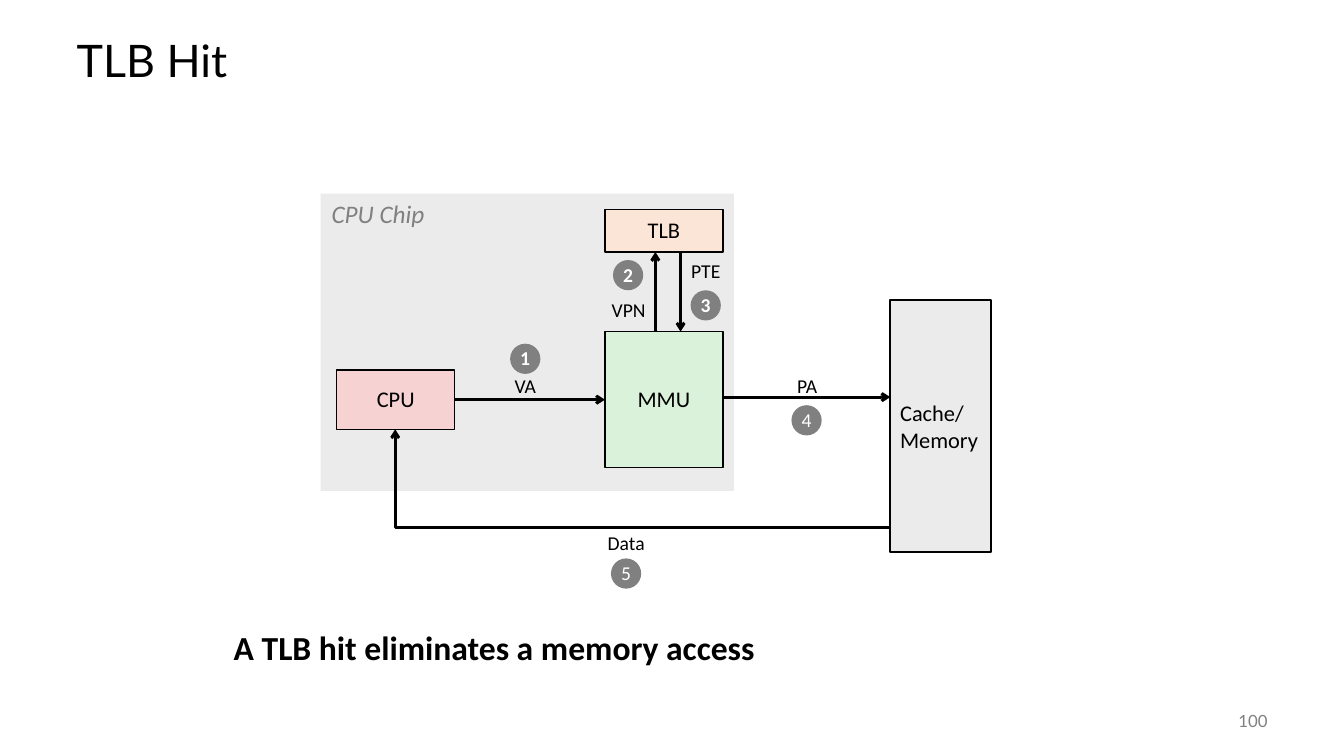
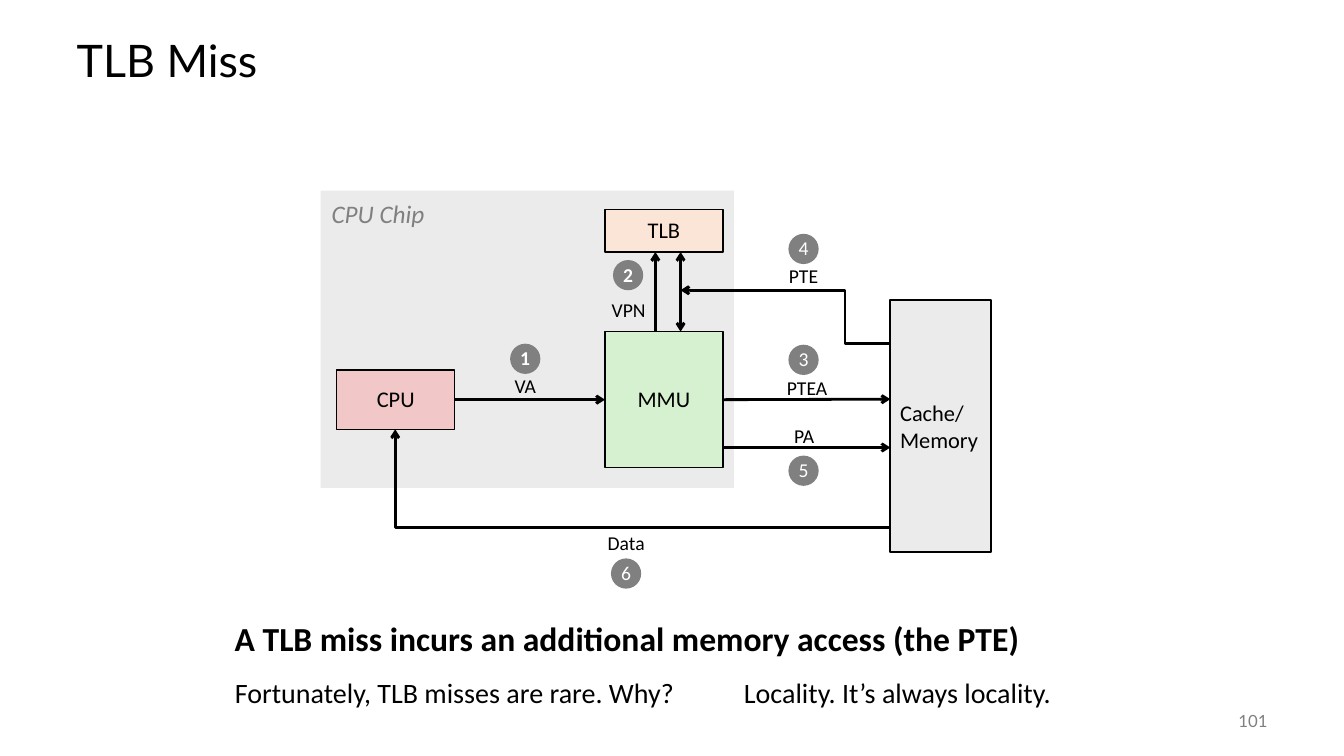
from lxml import etree
from pptx import Presentation
from pptx.dml.color import RGBColor
from pptx.enum.shapes import MSO_CONNECTOR, MSO_SHAPE
from pptx.enum.text import MSO_ANCHOR, MSO_AUTO_SIZE, PP_ALIGN
from pptx.oxml.ns import qn
from pptx.util import Emu, Pt

PX = 9144  # 100 px to the inch
COLORS = {
    "ink": "000000",
    "paper": "FFFFFF",
    "gray": "808080",
    "panel": "EBEBEB",
    "tlb": "FBE5D6",
    "cpu_hit": "F6D2D2",
    "mmu_hit": "DBF2DA",
    "cpu_miss": "F1C7C7",
    "mmu_miss": "D5F1CF",
}
BODY_FONT, TITLE_FONT = "Calibri", "Lato"
CHIP_RIGHT, MEMORY_LEFT = 717, 883  # ends of the MMU-to-memory arrows
TLB_BOTTOM, MMU_TOP = 250, 329
STEP_SIZE = 30


def px(*lengths):
    return [Emu(length * PX) for length in lengths]


def color(name):
    return RGBColor.from_string(COLORS[name])


def write(frame, lines, size, ink="ink", font=BODY_FONT, align=PP_ALIGN.LEFT,
          anchor=MSO_ANCHOR.MIDDLE, wrap=False, spacing=None, bold=False, italic=False):
    frame.word_wrap = wrap
    frame.vertical_anchor = anchor
    frame.text = lines
    for paragraph in frame.paragraphs:
        paragraph.alignment = align
        paragraph.line_spacing = spacing
        paragraph.font.name = font
        paragraph.font.size = Pt(size)
        paragraph.font.bold = bold
        paragraph.font.italic = italic
        paragraph.font.color.rgb = color(ink)


def add_text(slide, text, box, size, **style):
    frame = slide.shapes.add_textbox(*px(*box)).text_frame
    write(frame, text, size, **style)
    if not frame.word_wrap:
        frame.auto_size = MSO_AUTO_SIZE.SHAPE_TO_FIT_TEXT


def add_label(slide, text, left, top, width):
    add_text(slide, text, (left, top, width, 33), 14, align=PP_ALIGN.CENTER, spacing=0.98)


def add_block(slide, box, fill, text="", preset=MSO_SHAPE.RECTANGLE, border=1, size=16,
              align=PP_ALIGN.CENTER, spacing=0.98, **style):
    block = slide.shapes.add_shape(preset, *px(*box))
    block.shadow.inherit = False
    block.fill.solid()
    block.fill.fore_color.rgb = color(fill)
    if border:
        block.line.color.rgb = color("ink")
        block.line.width = Pt(border)
    else:
        block.line.fill.background()
    if text:
        write(block.text_frame, text, size, align=align, spacing=spacing, **style)
    return block


def add_step(slide, number, left, top, bold=False):
    add_block(slide, (left, top, STEP_SIZE, STEP_SIZE), "gray", str(number),
              MSO_SHAPE.OVAL, border=0, size=14, ink="paper", bold=bold)


def add_arrow(slide, start, end, kind=MSO_CONNECTOR.STRAIGHT, double=False):
    arrow = slide.shapes.add_connector(kind, *px(*start, *end))
    arrow.line.color.rgb = color("ink")
    arrow.line.width = Pt(2)
    outline = arrow.line._get_or_add_ln()
    for tip in ("a:headEnd", "a:tailEnd") if double else ("a:tailEnd",):
        etree.SubElement(outline, qn(tip), type="arrow")
    etree.SubElement(arrow._element.spPr, qn("a:effectLst"))
    return arrow


def add_elbow(slide, start, end, preset, bend=None):
    elbow = add_arrow(slide, start, end, MSO_CONNECTOR.ELBOW)
    geometry = elbow._element.spPr.find(qn("a:prstGeom"))
    geometry.set("prst", preset)
    if bend is not None:
        guides = geometry.find(qn("a:avLst"))
        if guides is None:
            guides = etree.SubElement(geometry, qn("a:avLst"))
        etree.SubElement(guides, qn("a:gd"), name="adj1", fmla=f"val {bend}")


def add_diagram(prs, title, page, outcome, chip_top, last_step):
    """Slide with everything that a hit and a miss have in common."""
    slide = prs.slides.add_slide(prs.slide_layouts[5])

    # Title and page number
    heading = slide.shapes.title
    heading.left, heading.top, heading.width, heading.height = px(66, 25, 1200, 75)
    write(heading.text_frame, title, 32, font=TITLE_FONT, wrap=True, spacing=0.9)
    add_text(slide, str(page), (1167, 695, 100, 40), 12, ink="gray", font=TITLE_FONT,
             align=PP_ALIGN.RIGHT, wrap=True)

    # Chip, its units and the memory
    add_block(slide, (318, chip_top, 410, 295), "panel", border=0)
    add_text(slide, "CPU Chip", (319, 192, 116, 40), 18, ink="gray",
             anchor=MSO_ANCHOR.TOP, italic=True)
    cpu = add_block(slide, (334, 367, 117, 59), f"cpu_{outcome}", "CPU")
    mmu = add_block(slide, (600, MMU_TOP, 117, 135), f"mmu_{outcome}", "MMU")
    add_block(slide, (600, 208, 117, 42), "tlb", "TLB")
    add_block(slide, (MEMORY_LEFT, 298, 100, 250), "panel", "Cache/\nMemory", border=1.5,
              align=PP_ALIGN.LEFT, spacing=None)

    # Address to the MMU, page number to the TLB, data back to the CPU
    request = add_arrow(slide, (451, 396), (600, 396))
    request.begin_connect(cpu, 3)
    request.end_connect(mmu, 1)
    add_arrow(slide, (650, MMU_TOP), (650, TLB_BOTTOM))
    add_arrow(slide, (675, TLB_BOTTOM), (675, MMU_TOP), double=outcome == "miss")
    add_elbow(slide, (MEMORY_LEFT, 523), (392, 426), "bentConnector2")
    add_label(slide, "VA", 500, 367, 42)
    add_label(slide, "VPN", 596, 292, 55)
    add_label(slide, "Data", 592, 523, 58)
    add_step(slide, 1, 506, 341, bold=True)
    add_step(slide, 2, 608, 258, bold=True)
    add_step(slide, last_step, 606, 554)
    return slide, mmu


def add_hit_slide(prs):
    slide, _ = add_diagram(prs, "TLB Hit", 100, "hit", chip_top=192, last_step=5)
    add_label(slide, "PTE", 675, 253, 50)
    add_step(slide, 3, 685, 288, bold=True)
    add_arrow(slide, (CHIP_RIGHT, 394), (MEMORY_LEFT, 394))
    add_label(slide, "PA", 780, 367, 41)
    add_step(slide, 4, 785, 402)
    add_text(slide, "A TLB hit eliminates a memory access", (222, 617, 786, 63), 24,
             anchor=MSO_ANCHOR.TOP, wrap=True, bold=True)


def add_miss_slide(prs):
    slide, mmu = add_diagram(prs, "TLB Miss", 101, "miss", chip_top=189, last_step=6)

    # Page table entry fetched from memory, then the access itself
    fetch = add_arrow(slide, (CHIP_RIGHT, 396), (MEMORY_LEFT, 396))
    fetch.begin_connect(mmu, 3)
    add_elbow(slide, (MEMORY_LEFT, 341), (675, 288), "bentConnector3", bend=21600)
    add_arrow(slide, (CHIP_RIGHT, 444), (MEMORY_LEFT, 444))
    for text, left, top, width in (("PTEA", 770, 369, 61), ("PTE", 772, 258, 50),
                                   ("PA", 777, 417, 41)):
        add_label(slide, text, left, top, width)
    for number, top in ((3, 342), (4, 232), (5, 452)):
        add_step(slide, number, 782, top)

    # Conclusions
    add_text(slide, "A TLB miss incurs an additional memory access (the PTE)",
             (223, 608, 843, 100), 24, anchor=MSO_ANCHOR.TOP, wrap=True, bold=True)
    for text, left, width in (("Fortunately, TLB misses are rare. Why?", 223, 465),
                              ("Locality. It’s always locality.", 728, 328)):
        add_text(slide, text, (left, 665, width, 44), 20, anchor=MSO_ANCHOR.TOP)


def main():
    prs = Presentation()
    prs.slide_width, prs.slide_height = px(1333, 750)
    add_hit_slide(prs)
    add_miss_slide(prs)
    prs.save("out.pptx")


if __name__ == "__main__":
    main()
